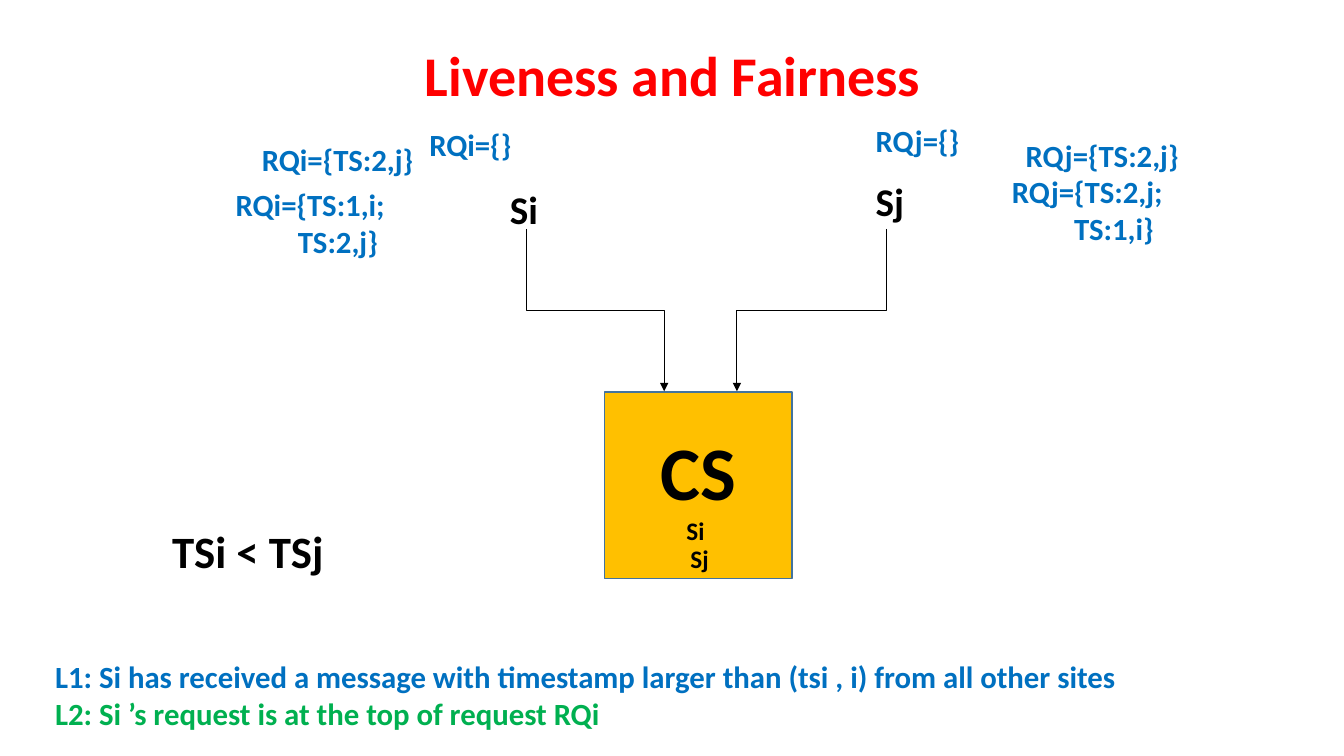
"""Draws the slide on liveness and fairness of a critical section."""
from lxml.etree import SubElement
from pptx import Presentation
from pptx.dml.color import RGBColor
from pptx.enum.shapes import MSO_CONNECTOR, MSO_SHAPE
from pptx.enum.text import MSO_ANCHOR, MSO_AUTO_SIZE, PP_ALIGN
from pptx.oxml.ns import qn
from pptx.util import Cm, Pt

BLACK, BLUE, GREEN, RED = "000000", "0070C0", "00B050", "FF0000"
AMBER, STEEL = "FFC000", "43739E"


def color(text):
    return RGBColor.from_string(text)


class Board:
    """Holds the text style and the current slide."""

    font = "Calibri"

    def __init__(self, slide):
        self.slide = slide

    def letter(self, frame, lines, align=PP_ALIGN.LEFT):
        for n, (text, size, hue, indent) in enumerate(lines):
            para = frame.add_paragraph() if n else frame.paragraphs[0]
            para.text = text
            para.alignment = align
            para.font.name = self.font
            para.font.size = Pt(size)
            para.font.bold = True
            para.font.color.rgb = color(hue)
            if indent:
                para._p.get_or_add_pPr().set("marL", str(Cm(indent)))

    def label(self, box, *lines, align=PP_ALIGN.LEFT, wrap=True):
        frame = self.slide.shapes.add_textbox(*map(Cm, box)).text_frame
        frame.word_wrap = wrap
        frame.auto_size = MSO_AUTO_SIZE.SHAPE_TO_FIT_TEXT
        self.letter(frame, lines, align)

    def block(self, box, *lines):
        shape = self.slide.shapes.add_shape(MSO_SHAPE.RECTANGLE, *map(Cm, box))
        shape.shadow.inherit = False
        shape.fill.solid()
        shape.fill.fore_color.rgb = color(AMBER)
        shape.line.color.rgb = color(STEEL)
        shape.line.width = Pt(1)
        shape.text_frame.word_wrap = True
        shape.text_frame.vertical_anchor = MSO_ANCHOR.MIDDLE
        self.letter(shape.text_frame, lines, PP_ALIGN.CENTER)

    def arrow(self, left, top, right, bottom):
        """Bends down, across and down: a turned elbow about its centre."""
        mid_x, mid_y = (left + right) / 2, (top + bottom) / 2
        long, wide = (bottom - top) / 2, abs(right - left) / 2
        side = 1 if right > left else -1
        link = self.slide.shapes.add_connector(
            MSO_CONNECTOR.ELBOW,
            Cm(mid_x + side * long), Cm(mid_y - wide),
            Cm(mid_x - side * long), Cm(mid_y + wide))
        link.line.color.rgb = color(BLACK)
        link.line.width = Pt(0.75)
        props = link._element.spPr
        turn = 270 if side > 0 else 90
        props.find(qn("a:xfrm")).set("rot", str(turn * 60000))
        SubElement(props.find(qn("a:ln")), qn("a:tailEnd"), type="triangle")
        SubElement(props, qn("a:effectLst"))


def main():
    deck = Presentation()
    deck.slide_width, deck.slide_height = Cm(33.87), Cm(19.05)
    board = Board(deck.slides.add_slide(deck.slide_layouts[6]))

    board.block((15.24, 9.88, 4.72, 4.7),
                ("CS", 54, BLACK, 0), ("Si ", 18, BLACK, 0))
    board.label((1.14, 16.46, 29.9, 2.13),
                ("L1: Si has received a message with timestamp larger than "
                 "(tsi , i) from all other sites", 22, BLUE, 0),
                ("L2: Si ’s request is at the top of request RQi",
                 22, GREEN, 0))

    for start, end in ((13.26, 16.74), (22.35, 18.57)):
        board.arrow(start, 5.77, end, 9.86)

    for left, top, first, second in (
            (5.69, 4.55, "RQi={TS:1,i;", "TS:2,j}"),
            (25.25, 4.22, "RQj={TS:2,j;", "TS:1,i}")):
        board.label((left, top, 4.93, 2.13),
                    (first, 22, BLUE, 0), (second, 22, BLUE, 1.57))

    board.label((4.95, 0.89, 24, 1.96),
                ("Liveness and Fairness", 40, RED, 0), align=PP_ALIGN.CENTER)

    for box, text, size, hue in (
            ((12.6, 4.55, 2.59, 1.45), "Si", 28, BLACK),
            ((21.82, 4.34, 2.97, 1.45), "Sj", 28, BLACK),
            ((4.09, 13.08, 9.8, 1.63), "TSi < TSj", 32, BLACK),
            ((6.35, 3.43, 6.91, 1.19), "RQi={TS:2,j}", 22, BLUE),
            ((25.6, 3.33, 5.82, 1.19), "RQj={TS:2,j}", 22, BLUE),
            ((17.15, 13.56, 1.6, 1.02), "Sj", 18, BLACK),
            ((10.57, 3.05, 6.12, 1.19), "RQi={}", 22, BLUE)):
        board.label(box, (text, size, hue, 0))
    board.label((21.82, 2.95, 2.64, 1.19), ("RQj={}", 22, BLUE, 0), wrap=False)

    deck.save("out.pptx")


if __name__ == "__main__":
    main()
